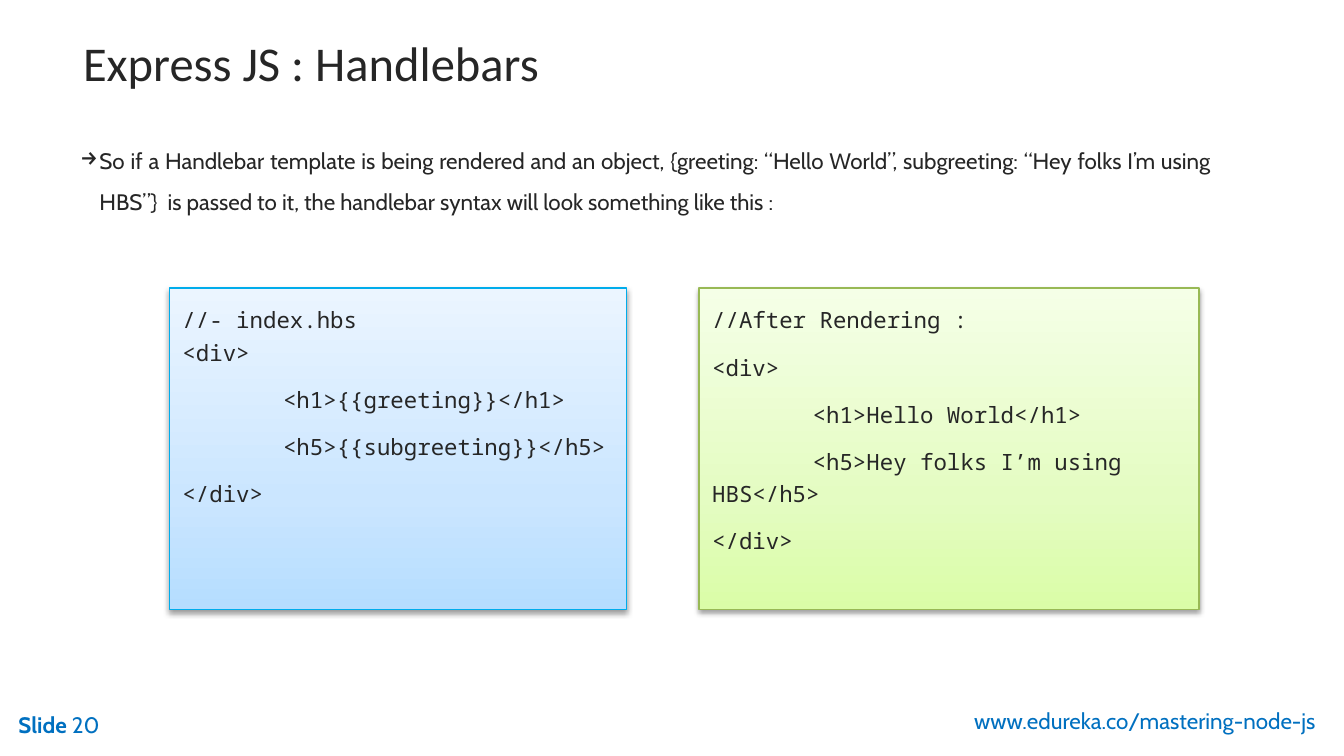
from copy import deepcopy

from lxml import etree
from pptx import Presentation
from pptx.dml.color import RGBColor
from pptx.enum.shapes import MSO_SHAPE
from pptx.enum.text import MSO_ANCHOR, PP_ALIGN
from pptx.oxml import parse_xml
from pptx.oxml.ns import nsdecls, qn
from pptx.util import Cm, Pt

RECTANGLE = MSO_SHAPE.RECTANGLE
TOP, MIDDLE = MSO_ANCHOR.TOP, MSO_ANCHOR.MIDDLE
LEFT, RIGHT, JUSTIFY = PP_ALIGN.LEFT, PP_ALIGN.RIGHT, PP_ALIGN.JUSTIFY

THEME = {
    "title": {"name": "Calibri", "size": Pt(26), "color": "262626"},
    "body": {"name": "Cabin", "size": Pt(12), "color": "262626"},
    "code": {"name": "Noto Sans Mono", "size": Pt(12), "color": "262626"},
    "footer": {"name": "Cabin", "size": Pt(12), "color": "0070C0"},
    "blue": {"line": "00ACEB", "stops": ("B5DDFF", "CBE6FF", "EBF5FF")},
    "green": {"line": "98B955", "stops": ("DAFDA7", "E4FCC2", "F5FFE7")},
}

# Content
TITLE = "Express JS : Handlebars"
BODY = ("So if a Handlebar template is being rendered and an object, "
        "{greeting: “Hello World”, subgreeting: “Hey folks I’m using HBS”}  "
        "is passed to it, the handlebar syntax will look something like this :")
ADDRESS = "www.edureka.co/mastering-node-js"
SLIDE_LABEL, SLIDE_NUMBER = "Slide ", "20"
PANELS = [
    {"look": "blue", "width": 8.64, "code": [
        "//- index.hbs\n<div>",
        "\t<h1>{{greeting}}</h1>",
        "\t<h5>{{subgreeting}}</h5>",
        "</div>"]},
    {"look": "green", "width": 9.45, "code": [
        "//After Rendering :",
        "<div>",
        "\t<h1>Hello World</h1>",
        "\t<h5>Hey folks I’m using HBS</h5>",
        "</div>"]},
]

# Layout in centimetres
PANEL_LEFT, PANEL_TOP, PANEL_HEIGHT, PANEL_GAP = 3.2, 5.44, 6.07, 1.37
PANEL_INSET, CODE_TAB = 0.25, 1.9
BODY_INDENT = 0.36
GRADIENT_POSITIONS = (0, 35, 100)


def set_values(target, values):
    for name, value in values.items():
        setattr(target, name, value)


def style_spans(para, style, bold=False):
    for span in para.runs:
        set_values(span.font, {"name": style["name"], "size": style["size"], "bold": bold})
        span.font.color.rgb = RGBColor.from_string(style["color"])
    # Line breaks take the type size of the text around them
    for line_break in para._p.findall(qn("a:br")):
        line_break.append(deepcopy(para.runs[0].font._element))


def add_text(page, place, text, style, align=LEFT, anchor=TOP, bold=False):
    box = page.shapes.add_textbox(*map(Cm, place))
    set_values(box.text_frame, {"word_wrap": True, "vertical_anchor": anchor})
    para = box.text_frame.paragraphs[0]
    set_values(para, {"text": text, "alignment": align})
    style_spans(para, style, bold)
    return para


def add_bullet(para, mark, indent):
    properties = para._p.get_or_add_pPr()
    properties.set("marL", str(Cm(indent)))
    properties.set("indent", str(-Cm(indent)))
    etree.SubElement(properties, qn("a:buChar"), char=mark)


def add_tab_stop(para, position):
    tabs = etree.SubElement(para._p.get_or_add_pPr(), qn("a:tabLst"))
    etree.SubElement(tabs, qn("a:tab"), pos=str(Cm(position)), algn="l")


def fill_gradient(box, colors):
    box.fill.gradient()
    box.fill.gradient_angle = 90
    stops = box._element.spPr.find(qn("a:gradFill")).find(qn("a:gsLst"))
    for stop in list(stops):
        stops.remove(stop)
    for position, color in zip(GRADIENT_POSITIONS, colors):
        stop = etree.SubElement(stops, qn("a:gs"), pos=str(position * 1000))
        etree.SubElement(stop, qn("a:srgbClr"), val=color)


def add_soft_shadow(box):
    box.shadow.inherit = False
    effects = box._element.spPr.find(qn("a:effectLst"))
    effects.append(parse_xml(
        f'<a:outerShdw {nsdecls("a")} blurRad="{Pt(3.1)}" dist="{Pt(1.6)}" '
        'dir="5400000" rotWithShape="0"><a:srgbClr val="000000">'
        '<a:alpha val="38000"/></a:srgbClr></a:outerShdw>'))


def add_panel(page, left, panel):
    look = THEME[panel["look"]]
    box = page.shapes.add_shape(
        RECTANGLE, Cm(left), Cm(PANEL_TOP), Cm(panel["width"]), Cm(PANEL_HEIGHT))
    fill_gradient(box, look["stops"])
    box.line.color.rgb = RGBColor.from_string(look["line"])
    box.line.width = Pt(0.75)
    add_soft_shadow(box)

    frame = box.text_frame
    set_values(frame, {"word_wrap": True, "vertical_anchor": TOP})
    set_values(frame, {f"margin_{side}": Cm(PANEL_INSET)
                       for side in ("left", "top", "right", "bottom")})
    for index, line in enumerate(panel["code"]):
        para = frame.add_paragraph() if index else frame.paragraphs[0]
        set_values(para, {"text": line, "alignment": LEFT,
                          "line_spacing": 1.2, "space_after": Pt(8)})
        add_tab_stop(para, CODE_TAB)
        style_spans(para, THEME["code"])


def main():
    deck = Presentation()
    set_values(deck, {"slide_width": Cm(25.4), "slide_height": Cm(14.28)})
    page = deck.slides.add_slide(deck.slide_layouts[6])

    # Footer
    add_text(page, (14.27, 13.23, 10.85, 0.76), ADDRESS, THEME["footer"], RIGHT)
    label = add_text(page, (0.1, 13.31, 4.01, 0.76), SLIDE_LABEL, THEME["footer"])
    label.add_run().text = SLIDE_NUMBER
    style_spans(label, THEME["footer"])
    label.runs[0].font.bold = True

    # Title and explanation
    add_text(page, (1.32, 0.46, 21.89, 1.42), TITLE, THEME["title"], anchor=MIDDLE)
    body = add_text(page, (1.27, 2.41, 21.89, 10.92), BODY, THEME["body"], JUSTIFY)
    body.line_spacing = 1.5
    add_bullet(body, "→", BODY_INDENT)

    # Code panels, side by side
    left = PANEL_LEFT
    for panel in PANELS:
        add_panel(page, left, panel)
        left += panel["width"] + PANEL_GAP

    deck.save("out.pptx")


if __name__ == "__main__":
    main()
